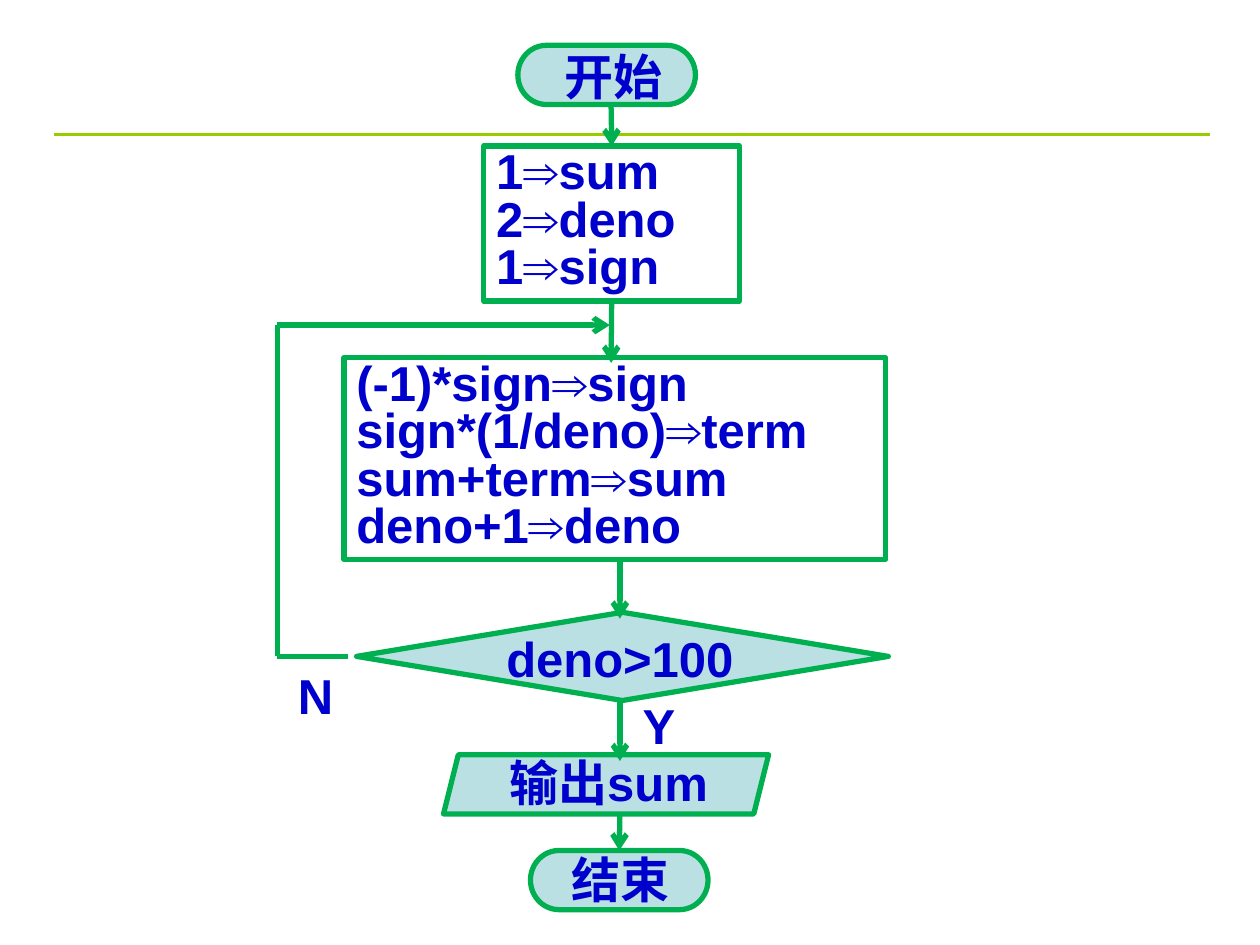
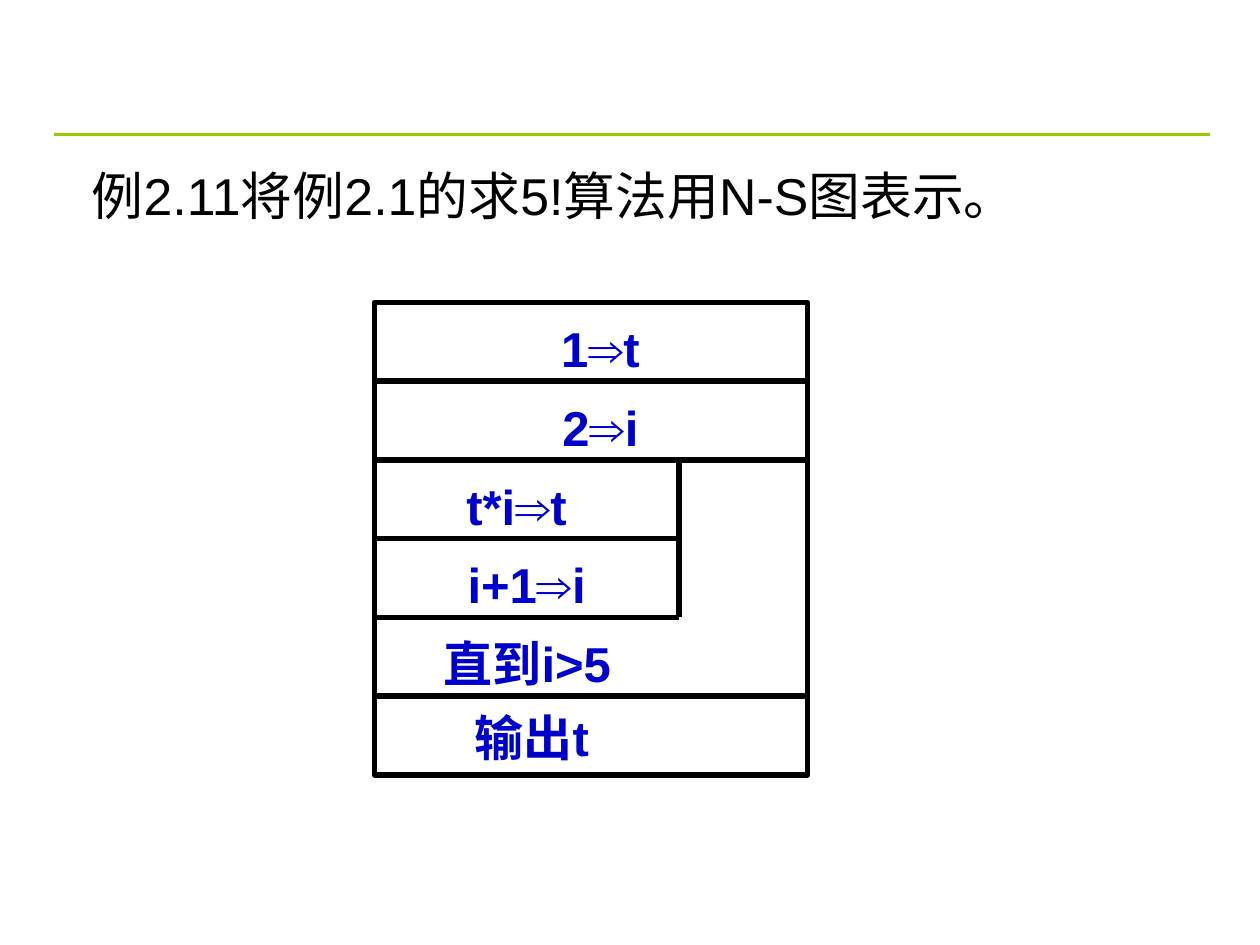
from pptx import Presentation
from pptx.dml.color import RGBColor
from pptx.enum.shapes import MSO_CONNECTOR, MSO_SHAPE
from pptx.enum.text import MSO_ANCHOR, PP_ALIGN
from pptx.oxml.ns import qn
from pptx.util import Inches, Pt
from lxml.etree import SubElement

COLORS = {
    "rule": "99CC00",
    "flow": "00B050",
    "node": "BBE0E3",
    "text": "0000CC",
    "black": "000000",
}
TOP, BOTTOM = 0, 2


def rgb(name):
    return RGBColor.from_string(COLORS[name])


class Deck:
    font = "Arial"
    size = 28
    line_width = 3

    def __init__(self):
        self.prs = Presentation()
        self.prs.slide_width = Inches(10)
        self.prs.slide_height = Inches(7.5)
        self.s = None

    def new_slide(self):
        self.s = self.prs.slides.add_slide(self.prs.slide_layouts[6])
        self.line((0.43, 1.07), (9.6, 1.07), "rule", width=1.5)

    def line(self, start, end, color, arrow=False, width=line_width,
             begin=None, finish=None):
        points = [Inches(v) for v in (*start, *end)]
        c = self.s.shapes.add_connector(MSO_CONNECTOR.STRAIGHT, *points)
        if begin:
            c.begin_connect(*begin)
        if finish:
            c.end_connect(*finish)
        c.line.color.rgb = rgb(color)
        c.line.width = Pt(width)
        if arrow:
            SubElement(c.line._get_or_add_ln(), qn("a:tailEnd"), type="arrow")
        SubElement(c._element.spPr, qn("a:effectLst"))
        return c

    def shape(self, kind, box, color, fill=None):
        sp = self.s.shapes.add_shape(kind, *[Inches(v) for v in box])
        sp.shadow.inherit = False
        sp.line.color.rgb = rgb(color)
        sp.line.width = Pt(self.line_width)
        if fill:
            sp.fill.solid()
            sp.fill.fore_color.rgb = rgb(fill)
        else:
            sp.fill.background()
        return sp

    def put_text(self, tf, lines, align, color="text", size=size, bold=True,
                 spacing=None):
        tf.word_wrap = True
        tf.vertical_anchor = MSO_ANCHOR.TOP
        for i, text in enumerate(lines):
            p = tf.add_paragraph() if i else tf.paragraphs[0]
            p.alignment = align
            if spacing:
                p.line_spacing = Pt(spacing)
            r = p.add_run()
            r.text = text
            r.font.name = self.font
            r.font.size = Pt(size)
            r.font.bold = bold
            r.font.color.rgb = rgb(color)

    def steps(self, box, lines):
        sp = self.shape(MSO_SHAPE.RECTANGLE, box, "flow")
        self.put_text(sp.text_frame, lines, PP_ALIGN.LEFT, spacing=27)
        return sp

    def label(self, text, left, top, width, height=0.57, align=PP_ALIGN.CENTER, **style):
        sp = self.s.shapes.add_textbox(*[Inches(v) for v in (left, top, width, height)])
        self.put_text(sp.text_frame, [text], align, **style)
        return sp


def flowchart(deck):
    deck.new_slide()
    init = deck.steps((3.84, 1.16, 2.03, 1.23), ["1⇒sum", "2⇒deno", "1⇒sign"])
    deck.steps((2.73, 2.84, 4.3, 1.6), [
        "(-1)*sign⇒sign", "sign*(1/deno)⇒term", "sum+term⇒sum", "deno+1⇒deno"])

    nodes = [
        (MSO_SHAPE.FLOWCHART_TERMINATOR, (4.11, 0.36, 1.41, 0.47)),
        (MSO_SHAPE.FLOWCHART_DECISION, (2.83, 4.86, 4.22, 0.7)),
        (MSO_SHAPE.PARALLELOGRAM, (3.52, 5.99, 2.58, 0.47)),
        (MSO_SHAPE.FLOWCHART_TERMINATOR, (4.21, 6.75, 1.41, 0.47)),
    ]
    start, test, output, end = [
        deck.shape(kind, box, "flow", "node") for kind, box in nodes]
    output.adjustments[0] = 0.25

    deck.line((4.85, 0.85), (4.85, 1.16), "flow", True, finish=(init, TOP))
    deck.line((4.85, 2.39), (4.85, 2.88), "flow", True, begin=(init, BOTTOM))
    deck.line((4.92, 4.44), (4.92, 4.91), "flow", True)
    deck.line((4.92, 5.57), (4.92, 6.04), "flow", True)
    deck.line((4.92, 6.47), (4.92, 6.78), "flow", True, finish=(end, TOP))

    loop_back = [(2.76, 5.21), (2.2, 5.21), (2.2, 2.58), (4.84, 2.58)]
    for a, b in zip(loop_back, loop_back[1:]):
        deck.line(a, b, "flow", arrow=b == loop_back[-1])

    deck.label("开始", 4.38, 0.32, 1.02, align=PP_ALIGN.LEFT)
    deck.label("deno>100", 3.59, 4.94, 2.66)
    deck.label("N", 2.19, 5.23, 0.63)
    deck.label("Y", 4.92, 5.47, 0.62)
    deck.label("输出sum", 3.62, 5.92, 2.42)
    deck.label("结束", 4.44, 6.69, 1.02, align=PP_ALIGN.LEFT)


def ns_diagram(deck):
    deck.new_slide()
    deck.label("例2.11将例2.1的求5!算法用N-S图表示。", 0.63, 1.25, 8.92, 0.94,
               align=PP_ALIGN.LEFT, color="black", size=29.6, bold=False)

    left, right, inner, top, height = 2.97, 6.41, 5.39, 2.4, 3.75
    rows = [
        ("1⇒t", 4.22, 1.09, right),
        ("2⇒i", 4.22, 1.09, right),
        ("t*i⇒t", 3.36, 1.48, inner),
        ("i+1⇒i", 3.44, 1.48, inner),
        ("直到i>5", 3.13, 2.11, right),
    ]
    row_height = height / (len(rows) + 1)
    deck.shape(MSO_SHAPE.FLOWCHART_PROCESS, (left, top, right - left, height), "black")
    for i, (text, x, width, line_end) in enumerate(rows):
        y = top + i * row_height
        deck.label(text, x, y + 0.08, width)
        deck.line((left, y + row_height), (line_end, y + row_height), "black")
    deck.line((inner, top + 2 * row_height), (inner, top + 4 * row_height), "black")
    deck.label("输出t", 3.36, 5.57, 1.72)


def main():
    deck = Deck()
    flowchart(deck)
    ns_diagram(deck)
    deck.prs.save("out.pptx")


if __name__ == "__main__":
    main()
